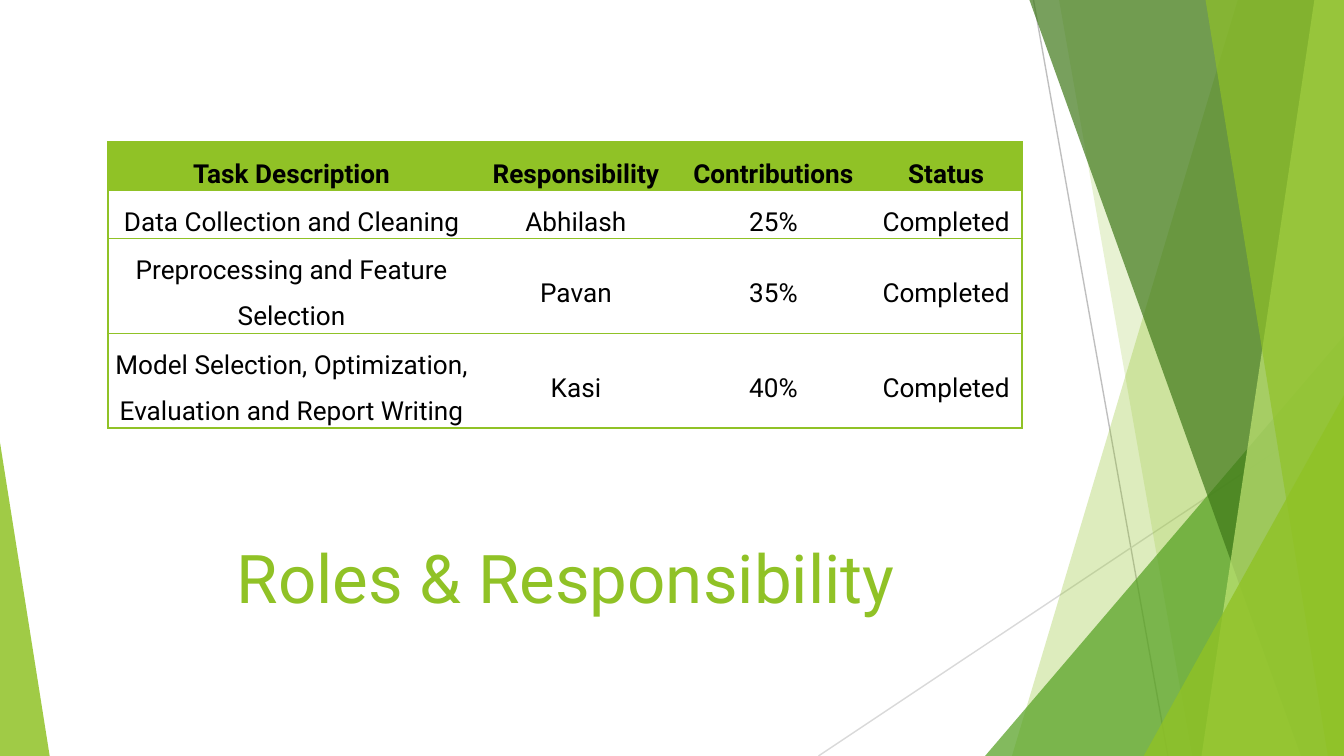
from lxml.etree import SubElement
from pptx import Presentation
from pptx.dml.color import RGBColor
from pptx.enum.shapes import MSO_CONNECTOR, MSO_SHAPE
from pptx.enum.text import MSO_ANCHOR, PP_ALIGN
from pptx.oxml.ns import qn
from pptx.util import Pt

PX = 4572
WIDTH, HEIGHT = 2000, 1125
GREEN, BLACK = "90C226", "000000"
FONT = "Roboto"

LINES = [((1538, 0), (1738, HEIGHT), "BFBFBF"), ((WIDTH, 604), (1218, HEIGHT), "D9D9D9")]
BACK_BANDS = [(1842, 1506, GREEN, 30), (1576, 1774, GREEN, 20)]
FRONT_BANDS = [(1532, 1936, "3F7819", 70), (1956, 1788, "C0E474", 70), (1794, 1976, GREEN, 65)]

COLUMN_WIDTHS = [546, 300, 288, 226]
ROW_HEIGHTS = [72, 72, 141, 141]
RULE_WIDTHS = [1, 1, 1, 0.5, 1]
ROWS = [
    ["Task Description", "Responsibility", "Contributions", "Status"],
    ["Data Collection and Cleaning", "Abhilash", "25%", "Completed"],
    ["Preprocessing and Feature Selection", "Pavan", "35%", "Completed"],
    ["Model Selection, Optimization,\nEvaluation and Report Writing", "Kasi", "40%", "Completed"],
]


def px(*lengths):
    return [length * PX for length in lengths]


def color(value):
    return RGBColor.from_string(value)


def write_text(frame, text, size, fill=BLACK, bold=False, spacing=1.0):
    frame.word_wrap = True
    for index, line in enumerate(text.split("\n")):
        paragraph = frame.add_paragraph() if index else frame.paragraphs[0]
        paragraph.alignment = PP_ALIGN.CENTER
        paragraph.line_spacing = spacing
        run = paragraph.add_run()
        run.text = line
        run.font.name = FONT
        run.font.size = Pt(size)
        run.font.bold = bold
        run.font.color.rgb = color(fill)


def paint(shape, fill, opacity):
    shape.shadow.inherit = False
    shape.line.fill.background()
    shape.fill.solid()
    shape.fill.fore_color.rgb = color(fill)
    tint = shape._element.spPr.find(qn("a:solidFill")).find(qn("a:srgbClr"))
    SubElement(tint, qn("a:alpha")).set("val", str(opacity * 1000))


def add_line(slide, start, end, fill):
    line = slide.shapes.add_connector(MSO_CONNECTOR.STRAIGHT, *px(*start, *end))
    line.line.color.rgb = color(fill)
    line.line.width = Pt(0.75)
    SubElement(line._element.spPr, qn("a:effectLst"))


def add_band(slide, top_left, bottom_left, fill, opacity):
    builder = slide.shapes.build_freeform(top_left, 0, scale=PX)
    builder.add_line_segments([(WIDTH, 0), (WIDTH, HEIGHT), (bottom_left, HEIGHT)])
    paint(builder.convert_to_shape(), fill, opacity)


def add_triangle(slide, left, top, right, apex, fill, opacity):
    triangle = slide.shapes.add_shape(
        MSO_SHAPE.ISOSCELES_TRIANGLE, *px(left, top, right - left, HEIGHT - top)
    )
    triangle.adjustments[0] = apex
    paint(triangle, fill, opacity)


def add_title(slide, text):
    box = slide.shapes.add_textbox(*px(162, 746, 1360, 180))
    frame = box.text_frame
    write_text(frame, text, size=36, fill=GREEN)
    frame.vertical_anchor = MSO_ANCHOR.BOTTOM
    frame.margin_bottom = 8 * PX


def set_border(cell, side, width):
    border = SubElement(cell._tc.get_or_add_tcPr(), qn(f"a:ln{side}"))
    if width:
        border.set("w", str(Pt(width)))
        fill = SubElement(border, qn("a:solidFill"))
        SubElement(fill, qn("a:srgbClr")).set("val", GREEN)
    else:
        border.set("w", "0")
        SubElement(border, qn("a:noFill"))


def format_cell(cell, text, row, column):
    header = row == 0
    set_border(cell, "L", 1 if column == 0 else 0)
    set_border(cell, "R", 1 if column == len(COLUMN_WIDTHS) - 1 else 0)
    set_border(cell, "T", RULE_WIDTHS[row])
    set_border(cell, "B", RULE_WIDTHS[row + 1])
    if header:
        cell.fill.solid()
        cell.fill.fore_color.rgb = color(GREEN)
    else:
        cell.fill.background()
    cell.margin_left = cell.margin_right = cell.margin_top = cell.margin_bottom = 0
    cell.vertical_anchor = MSO_ANCHOR.BOTTOM if header else MSO_ANCHOR.MIDDLE
    write_text(cell.text_frame, text, size=14, bold=header, spacing=1.5)


def add_task_table(slide):
    size = px(sum(COLUMN_WIDTHS), sum(ROW_HEIGHTS))
    frame = slide.shapes.add_table(len(ROWS), len(COLUMN_WIDTHS), *px(161, 211), *size)
    table = frame.table
    table.first_row = table.horz_banding = False
    for column, width in zip(table.columns, COLUMN_WIDTHS):
        column.width = width * PX
    for row, height in zip(table.rows, ROW_HEIGHTS):
        row.height = height * PX
    for row, texts in enumerate(ROWS):
        for column, text in enumerate(texts):
            format_cell(table.cell(row, column), text, row, column)


def add_decoration(slide):
    for line in LINES:
        add_line(slide, *line)
    for band in BACK_BANDS:
        add_band(slide, *band)
    add_triangle(slide, 1466, 500, WIDTH, 1, "54A021", 72)
    for band in FRONT_BANDS:
        add_band(slide, *band)
    add_triangle(slide, 1702, 588, WIDTH, 1, GREEN, 80)
    add_triangle(slide, 0, 658, 74, 0, GREEN, 85)


def main():
    presentation = Presentation()
    presentation.slide_width, presentation.slide_height = px(WIDTH, HEIGHT)
    slide = presentation.slides.add_slide(presentation.slide_layouts[6])
    add_decoration(slide)
    add_title(slide, "Roles & Responsibility")
    add_task_table(slide)
    presentation.save("out.pptx")


if __name__ == "__main__":
    main()
